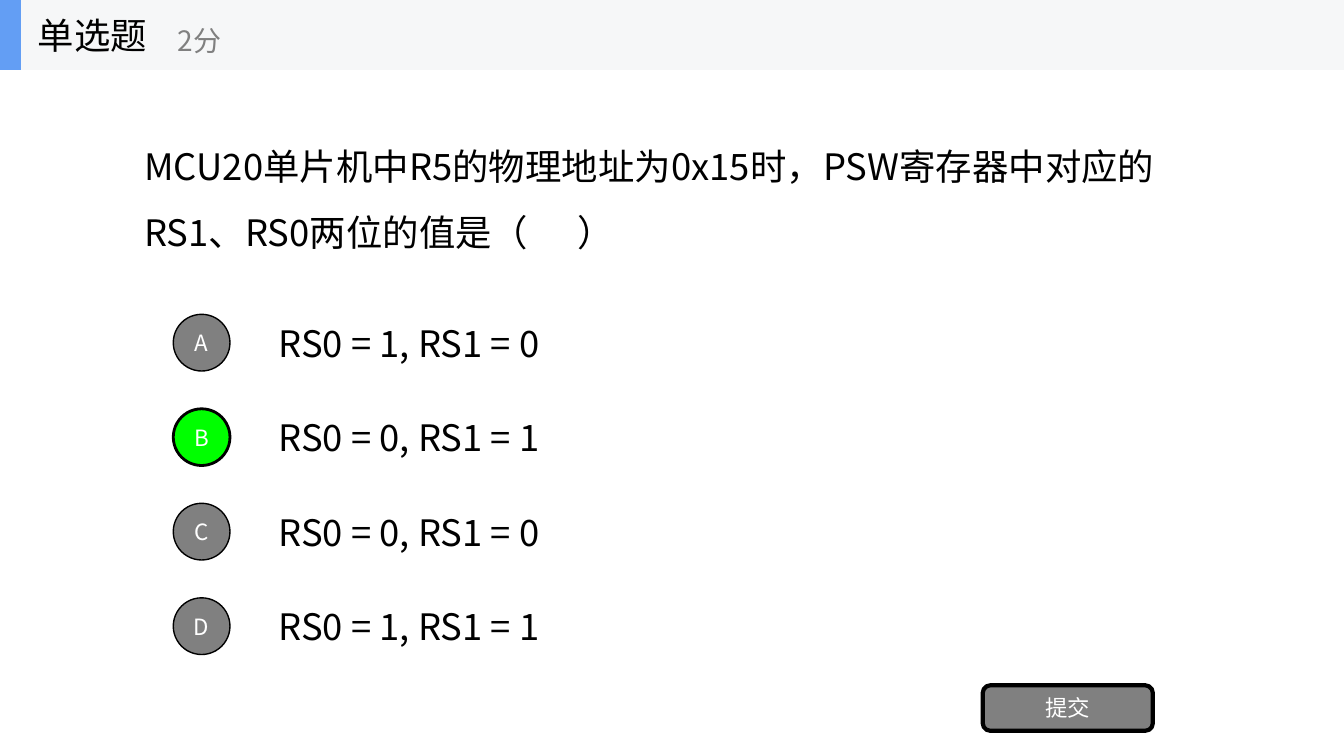
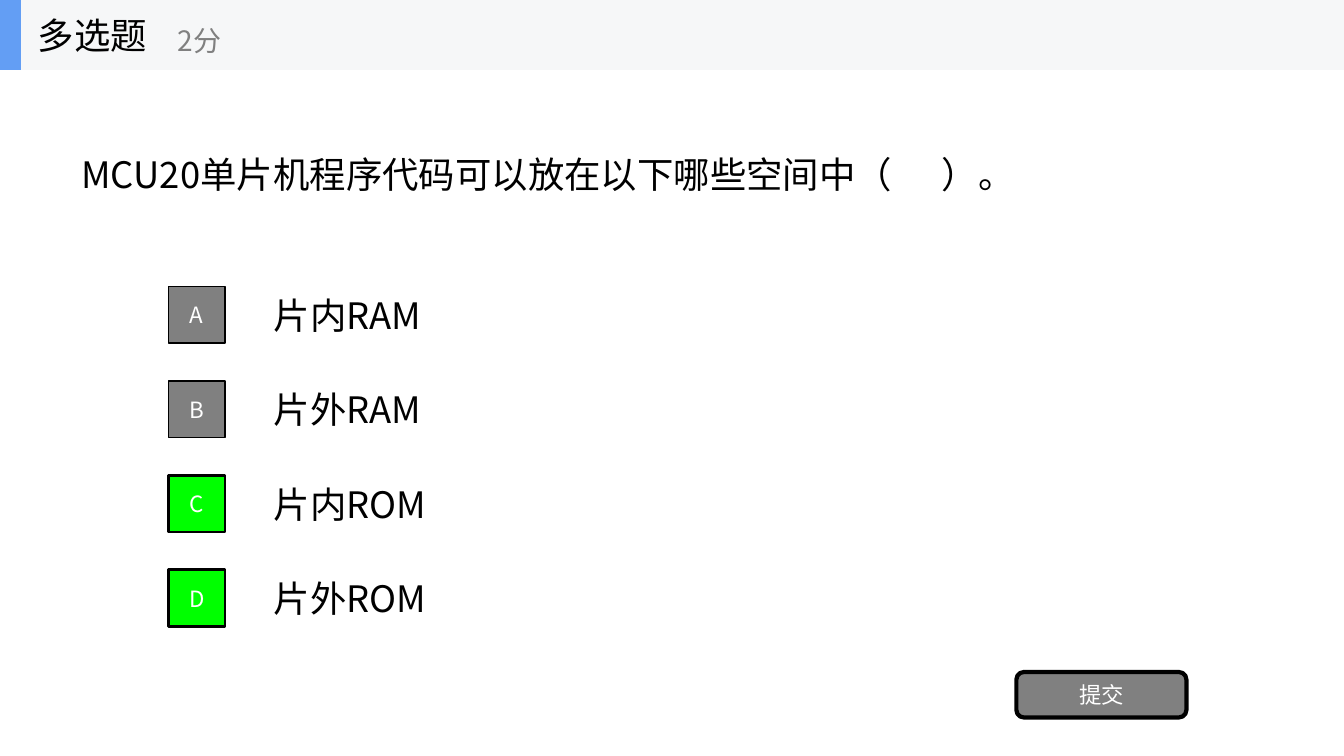
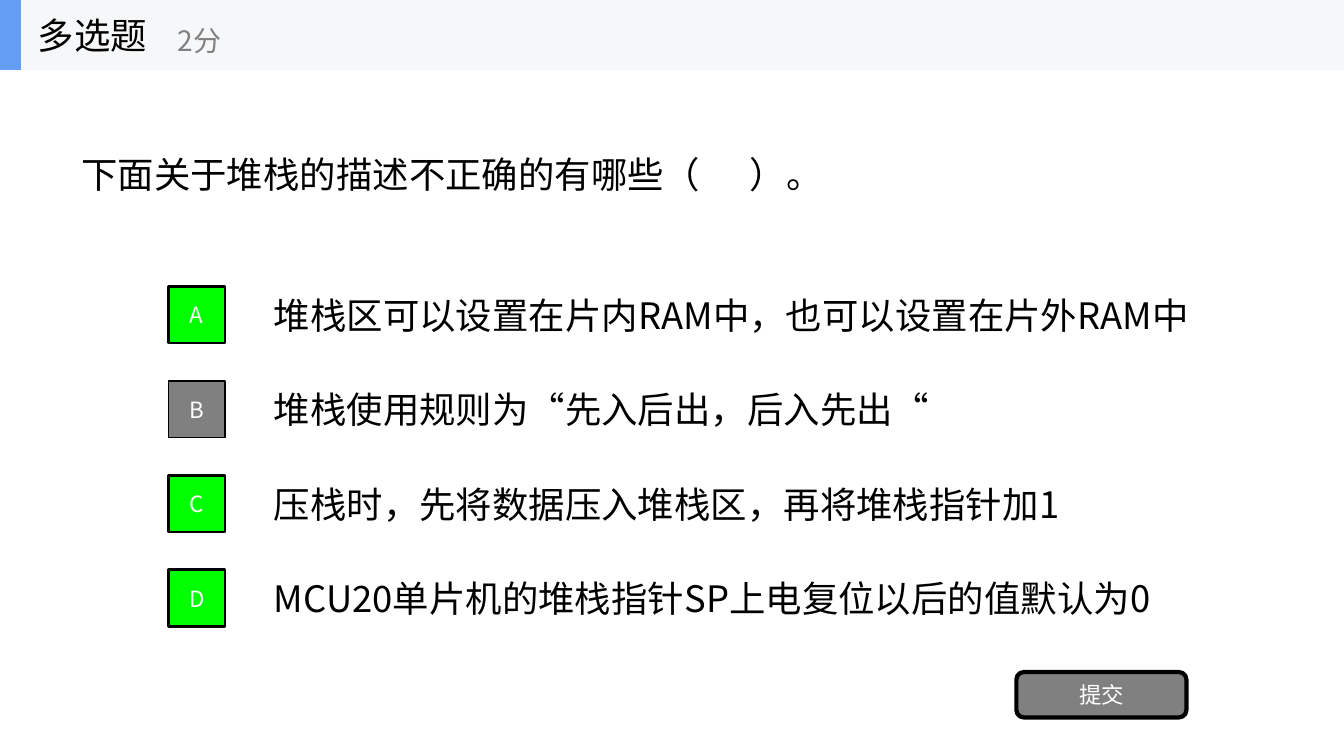
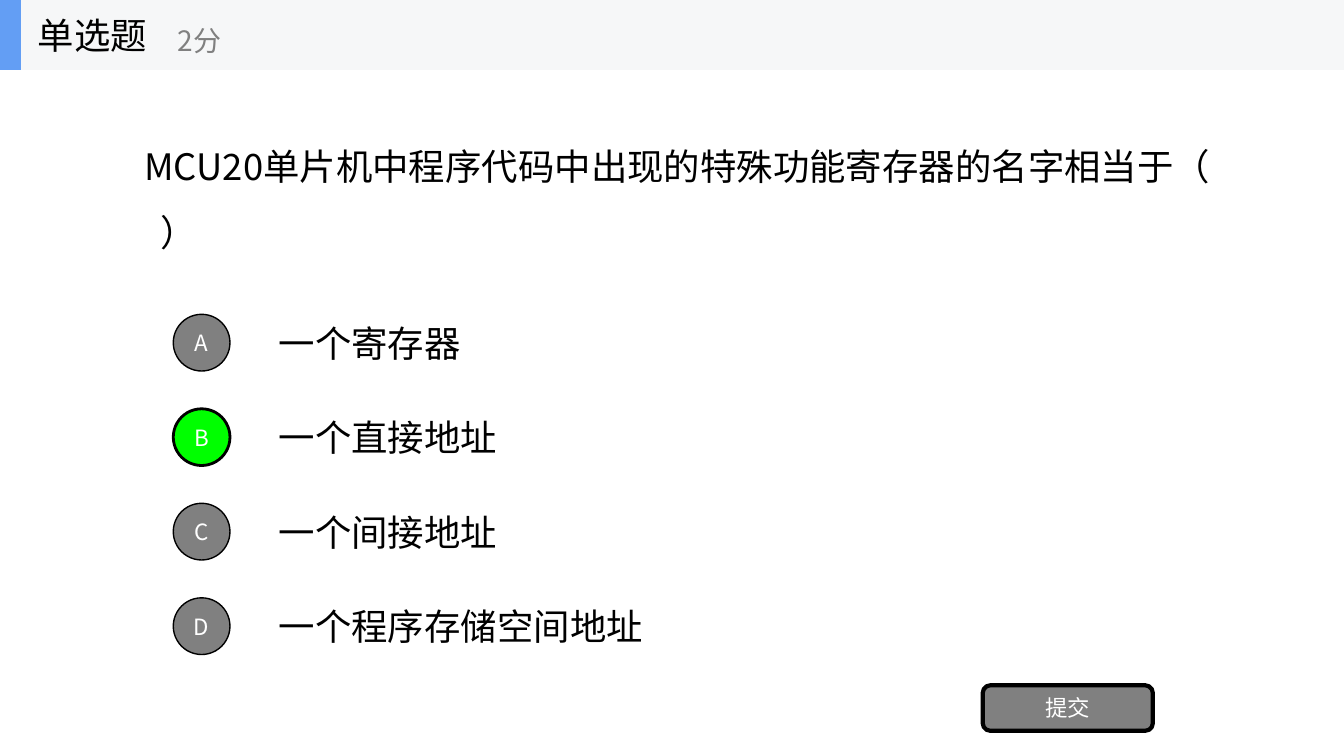
import dataclasses

import lxml.etree
import pptx
import pptx.dml.color
import pptx.enum.shapes
import pptx.enum.text
import pptx.oxml.ns
import pptx.util

Pt = pptx.util.Pt
PRESET = pptx.enum.shapes.MSO_SHAPE
ALIGN = pptx.enum.text.PP_ALIGN


@dataclasses.dataclass(frozen=True)
class Theme:
    font: str = "Noto Sans CJK SC"
    ink: str = "000000"
    muted: str = "808080"
    correct: str = "00FF00"
    on_fill: str = "FFFFFF"
    band: str = "F6F7F8"
    accent: str = "639EF4"
    body_size: float = 26
    points_size: float = 20
    button_size: float = 16


@dataclasses.dataclass(frozen=True)
class Kind:
    """Arrangement of one type of question; boxes are left, top, width, height."""
    title: str
    badge: int
    question_box: tuple
    line_spacing: float
    options_at: tuple
    submit_at: tuple


@dataclasses.dataclass(frozen=True)
class Option:
    text: str
    correct: bool = False
    width: float = 672


SINGLE = Kind("单选题", PRESET.OVAL, (96, 50, 800, 168.5), 1.5, (192, 219.5), (702, 489.5))
MULTIPLE = Kind("多选题", PRESET.RECTANGLE, (51, 74, 768, 100), 1, (188.5, 199.5), (726, 480))

SLIDE_WIDTH, SLIDE_HEIGHT = 960, 540
BAND_HEIGHT = 50
OPTION_HEIGHT, OPTION_STEP = 50.5, 67.5
BADGE_SIZE, BADGE_OFFSET = 40.5, 68.25


class Quiz:
    def __init__(self, theme):
        self.theme = theme
        self.deck = pptx.Presentation()
        self.deck.slide_width = Pt(SLIDE_WIDTH)
        self.deck.slide_height = Pt(SLIDE_HEIGHT)
        self.slide = None

    # Basic elements
    def run(self, paragraph, text, size, color, spacing=0):
        run = paragraph.add_run()
        run.text = text
        run.font.size = Pt(size)
        run.font.color.rgb = pptx.dml.color.RGBColor.from_string(color)
        run.font.name = self.theme.font
        properties = run._r.get_or_add_rPr()
        east_asian = lxml.etree.SubElement(properties, pptx.oxml.ns.qn("a:ea"))
        east_asian.set("typeface", self.theme.font)
        if spacing:
            properties.set("spc", str(int(spacing * 100)))

    def paragraph(self, holder, align=ALIGN.LEFT):
        frame = holder.text_frame
        frame.word_wrap = True
        frame.vertical_anchor = pptx.enum.text.MSO_ANCHOR.MIDDLE
        paragraph = frame.paragraphs[0]
        paragraph.alignment = align
        return paragraph

    def text(self, shapes, box, text, size, color):
        holder = shapes.add_textbox(*map(Pt, box))
        self.run(self.paragraph(holder), text, size, color)

    def shape(self, shapes, preset, box, fill, line_width=0):
        shape = shapes.add_shape(preset, *map(Pt, box))
        shape.shadow.inherit = False
        shape.fill.solid()
        shape.fill.fore_color.rgb = pptx.dml.color.RGBColor.from_string(fill)
        if line_width:
            shape.line.color.rgb = pptx.dml.color.RGBColor.from_string(self.theme.ink)
            shape.line.width = Pt(line_width)
        else:
            shape.line.fill.background()
        return shape

    def button(self, preset, box, caption, fill, line_width):
        button = self.shape(self.slide.shapes, preset, box, fill, line_width)
        self.run(self.paragraph(button, ALIGN.CENTER), caption,
                 self.theme.button_size, self.theme.on_fill)

    # Parts of a question slide
    def header(self, title):
        theme = self.theme
        shapes = self.slide.shapes.add_group_shape().shapes
        self.shape(shapes, PRESET.RECTANGLE, (0, 0, SLIDE_WIDTH, BAND_HEIGHT), theme.band)
        self.shape(shapes, PRESET.RECTANGLE, (0, 0, 15, BAND_HEIGHT), theme.accent)
        self.text(shapes, (20, 0, 150, BAND_HEIGHT), title, theme.body_size, theme.ink)
        self.text(shapes, (120, 8.75, 180, 40), "2分", theme.points_size, theme.muted)

    def question(self, kind, stem, ending, gap, break_line):
        """Write the stem, an answer gap (one widened space) and the ending."""
        holder = self.slide.shapes.add_textbox(*map(Pt, kind.question_box))
        paragraph = self.paragraph(holder)
        paragraph.line_spacing = kind.line_spacing
        style = self.theme.body_size, self.theme.ink
        self.run(paragraph, stem, *style)
        if break_line:
            paragraph.add_line_break()
        self.run(paragraph, " ", *style, spacing=gap)
        self.run(paragraph, ending, *style)

    def option(self, kind, index, option):
        theme = self.theme
        left, first_top = kind.options_at
        top = first_top + index * OPTION_STEP
        self.text(self.slide.shapes, (left, top, option.width, OPTION_HEIGHT),
                  option.text, theme.body_size, theme.ink)
        badge_top = top + (OPTION_HEIGHT - BADGE_SIZE) / 2
        self.button(kind.badge, (left - BADGE_OFFSET, badge_top, BADGE_SIZE, BADGE_SIZE),
                    "ABCD"[index], theme.correct if option.correct else theme.muted,
                    2 if option.correct else 1)

    def add(self, kind, stem, ending, options, gap=29, break_line=False):
        self.slide = self.deck.slides.add_slide(self.deck.slide_layouts[6])
        self.question(kind, stem, ending, gap, break_line)
        for index, option in enumerate(options):
            self.option(kind, index, option)
        self.button(PRESET.ROUNDED_RECTANGLE, (*kind.submit_at, 121.5, 32.5),
                    "提交", self.theme.muted, 3)
        self.header(kind.title)


def main():
    quiz = Quiz(Theme())

    # Register bank selection
    quiz.add(SINGLE, "MCU20单片机中R5的物理地址为0x15时，PSW寄存器中对应的RS1、RS0两位的值是（", "）", [
        Option("RS0 = 1, RS1 = 0"),
        Option("RS0 = 0, RS1 = 1", correct=True),
        Option("RS0 = 0, RS1 = 0"),
        Option("RS0 = 1, RS1 = 1"),
    ])

    # Program memory
    quiz.add(MULTIPLE, "MCU20单片机程序代码可以放在以下哪些空间中（", "）。", [
        Option("片内RAM"),
        Option("片外RAM"),
        Option("片内ROM", correct=True),
        Option("片外ROM", correct=True, width=699),
    ])

    # Stack
    quiz.add(MULTIPLE, "下面关于堆栈的描述不正确的有哪些（", "）。", [
        Option("堆栈区可以设置在片内RAM中，也可以设置在片外RAM中", correct=True, width=694),
        Option("堆栈使用规则为“先入后出，后入先出“"),
        Option("压栈时，先将数据压入堆栈区，再将堆栈指针加1", correct=True),
        Option("MCU20单片机的堆栈指针SP上电复位以后的值默认为0", correct=True, width=699),
    ])

    # Special function registers
    quiz.add(SINGLE, "MCU20单片机中程序代码中出现的特殊功能寄存器的名字相当于（", "）", [
        Option("一个寄存器"),
        Option("一个直接地址", correct=True),
        Option("一个间接地址"),
        Option("一个程序存储空间地址"),
    ], gap=6, break_line=True)

    quiz.deck.save("out.pptx")


if __name__ == "__main__":
    main()
